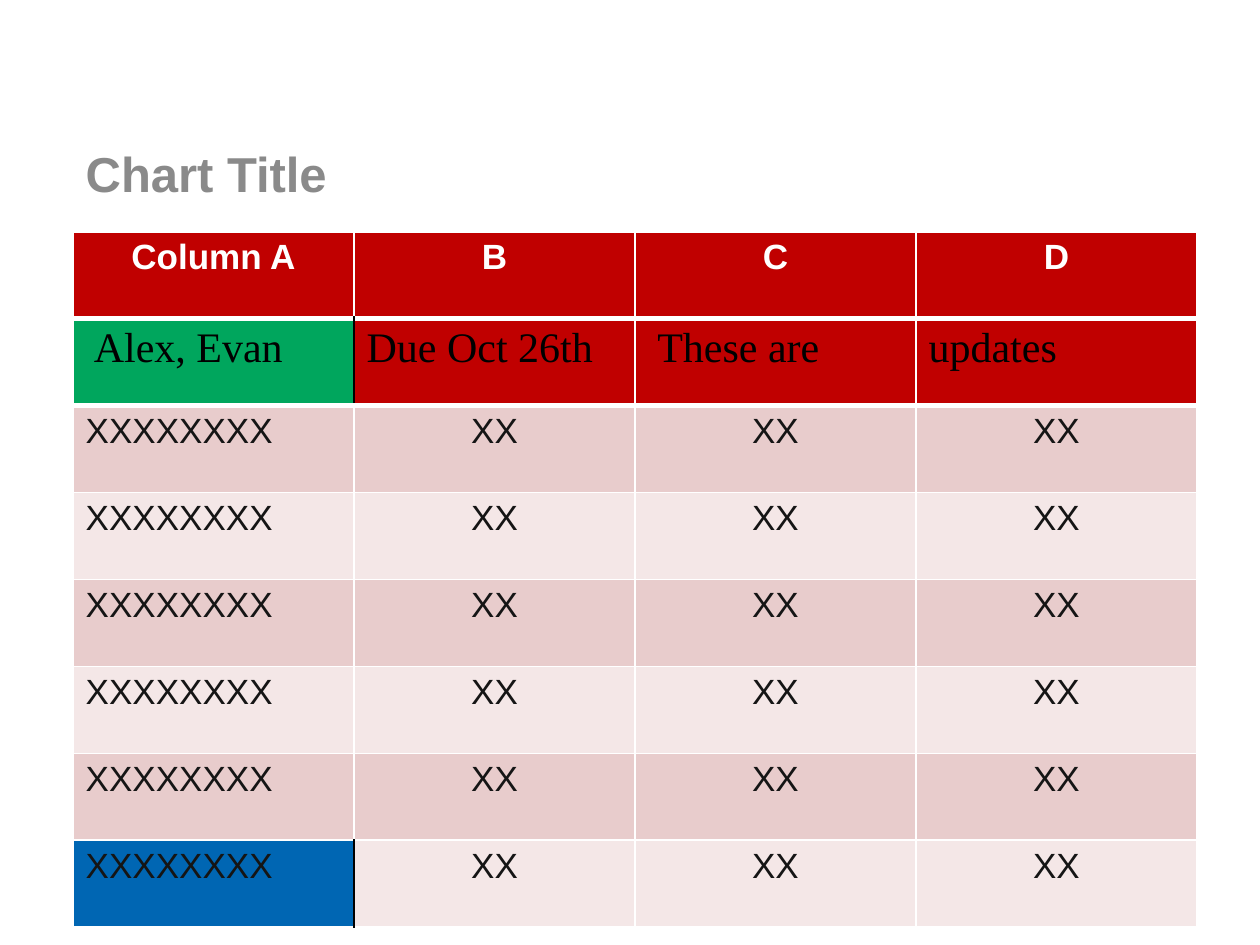
from dataclasses import dataclass

from lxml.etree import SubElement
from pptx import Presentation
from pptx.dml.color import RGBColor
from pptx.enum.text import MSO_ANCHOR, PP_ALIGN
from pptx.oxml.ns import qn
from pptx.util import Inches, Pt


@dataclass(frozen=True)
class Theme:
    sans: str = "Arial"
    serif: str = "Times New Roman"
    title: str = "8A8A8A"
    white: str = "FFFFFF"
    black: str = "000000"
    body: str = "151515"
    red: str = "C00000"
    green: str = "00A65D"
    blue: str = "0066B3"
    bands: tuple = ("E8CCCC", "F4E7E7")
    title_size: int = 28
    update_size: int = 24
    cell_size: int = 20
    thin: float = 0.96
    thick: float = 3


THEME = Theme()
HEADERS = ["Column A", "B", "C", "D"]
UPDATES = [" Alex, Evan", "Due Oct 26th", " These are ", "updates"]
BODY_ROWS = [["XXXXXXXX", "XX", "XX", "XX"]] * 6
ROW_HEIGHT = 0.69
COLUMN_WIDTH = 2.23


def format_text(text_frame, font_name, size, color, bold, alignment):
    for paragraph in text_frame.paragraphs:
        paragraph.alignment = alignment
        for run in paragraph.runs:
            run.font.name = font_name
            run.font.size = Pt(size)
            run.font.bold = bold
            run.font.color.rgb = RGBColor.from_string(color)


def add_title(slide, text):
    title = slide.shapes.title
    title.left, title.top = Inches(0.58), Inches(1.08)
    title.width, title.height = Inches(8.92), Inches(0.58)
    title.text_frame.text = text
    title.text_frame.vertical_anchor = MSO_ANCHOR.MIDDLE
    format_text(title.text_frame, THEME.sans, THEME.title_size, THEME.title, True, PP_ALIGN.LEFT)


def set_border(cell, side, color, width):
    properties = cell._tc.get_or_add_tcPr()
    line = SubElement(properties, qn(f"a:ln{side}"), w=str(Pt(width)))
    fill = SubElement(line, qn("a:solidFill"))
    SubElement(fill, qn("a:srgbClr"), val=color)


def cell_fill(row, column):
    if row == 0:
        return THEME.red
    if row == 1:
        return THEME.green if column == 0 else THEME.red
    if (row, column) == (7, 0):
        return THEME.blue
    return THEME.bands[row % 2]


def border_style(row, column, side):
    accent_row = row in (1, 7)
    if accent_row and (column, side) in ((0, "R"), (1, "L")):
        return THEME.black, THEME.thin
    heavy = (side == "B" and row < 2) or (side == "T" and row in (1, 2))
    return THEME.white, THEME.thick if heavy else THEME.thin


def text_style(row, column):
    if row == 0:
        return THEME.sans, THEME.cell_size, THEME.white, True, PP_ALIGN.CENTER
    if row == 1:
        return THEME.serif, THEME.update_size, THEME.black, False, PP_ALIGN.LEFT
    alignment = PP_ALIGN.CENTER if column else PP_ALIGN.LEFT
    return THEME.sans, THEME.cell_size, THEME.body, False, alignment


def format_cell(cell, text, row, column):
    cell.text_frame.text = text
    format_text(cell.text_frame, *text_style(row, column))
    for side in "LRTB":
        set_border(cell, side, *border_style(row, column, side))
    cell.fill.solid()
    cell.fill.fore_color.rgb = RGBColor.from_string(cell_fill(row, column))


def add_status_table(slide, rows):
    column_count = len(rows[0])
    frame = slide.shapes.add_table(
        len(rows), column_count, Inches(0.58), Inches(1.84),
        Inches(COLUMN_WIDTH * column_count), Inches(ROW_HEIGHT * len(rows)))
    table = frame.table
    for column in table.columns:
        column.width = Inches(COLUMN_WIDTH)
    for row_index, texts in enumerate(rows):
        table.rows[row_index].height = Inches(ROW_HEIGHT)
        for column_index, text in enumerate(texts):
            format_cell(table.cell(row_index, column_index), text, row_index, column_index)


def main():
    presentation = Presentation()
    presentation.slide_width = Inches(10)
    presentation.slide_height = Inches(7.5)
    slide = presentation.slides.add_slide(presentation.slide_layouts[5])
    add_title(slide, "Chart Title")
    add_status_table(slide, [HEADERS, UPDATES, *BODY_ROWS])
    presentation.save("out.pptx")


main()
